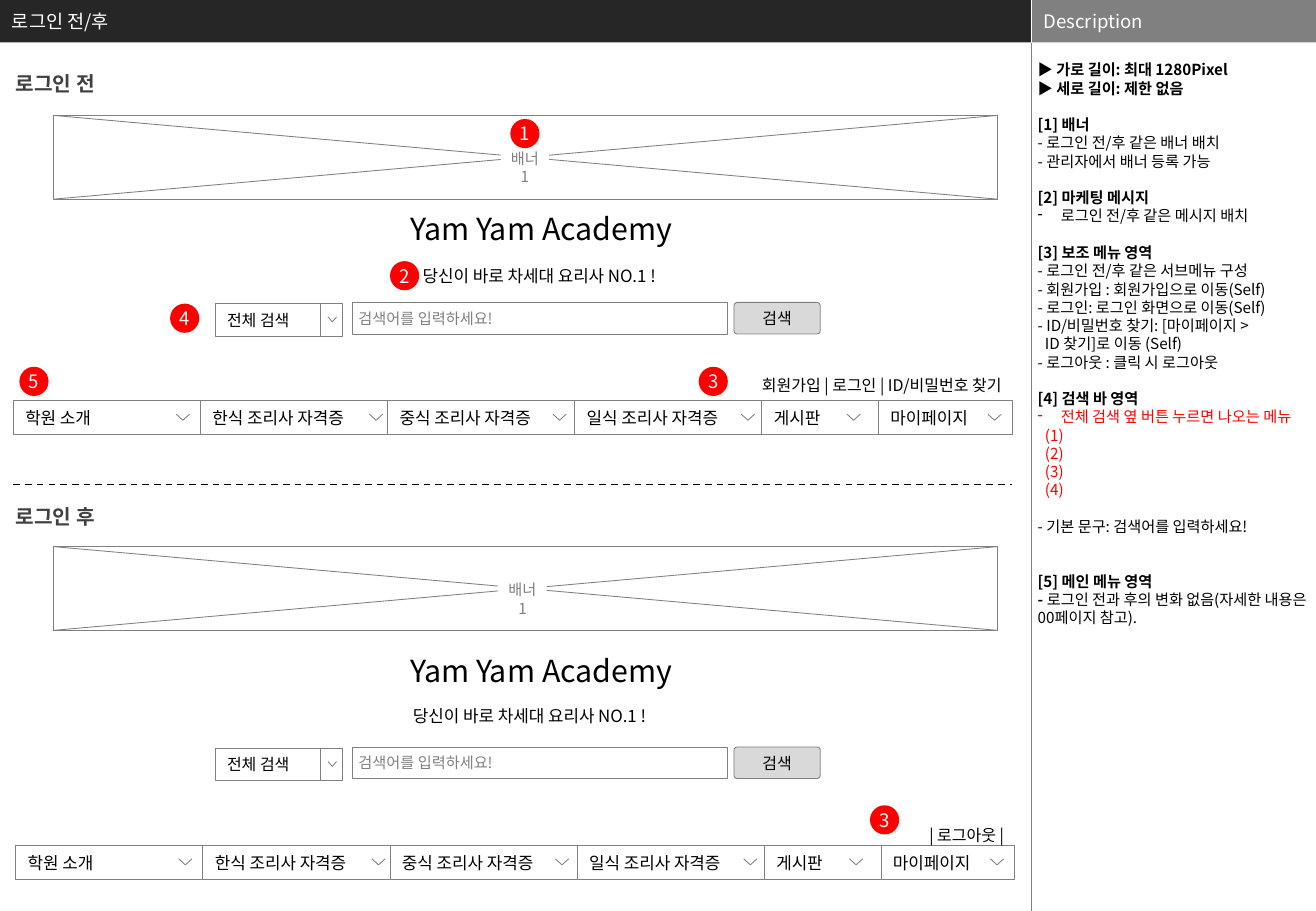
from dataclasses import dataclass

from lxml import etree
from pptx import Presentation
from pptx.dml.color import RGBColor
from pptx.enum.dml import MSO_LINE
from pptx.enum.shapes import MSO_CONNECTOR, MSO_SHAPE
from pptx.enum.text import MSO_ANCHOR, PP_ALIGN
from pptx.oxml.ns import qn
from pptx.util import Inches, Pt

RECT, ROUNDED, OVAL = MSO_SHAPE.RECTANGLE, MSO_SHAPE.ROUNDED_RECTANGLE, MSO_SHAPE.OVAL
STRAIGHT, DASH = MSO_CONNECTOR.STRAIGHT, MSO_LINE.DASH
TOP, MIDDLE = MSO_ANCHOR.TOP, MSO_ANCHOR.MIDDLE
LEFT, CENTER, RIGHT = PP_ALIGN.LEFT, PP_ALIGN.CENTER, PP_ALIGN.RIGHT


@dataclass(frozen=True)
class Theme:
    font: str = "Noto Sans CJK KR"
    black: str = "000000"
    white: str = "FFFFFF"
    dark: str = "262626"
    heading_gray: str = "404040"
    gray: str = "808080"
    button: str = "D9D9D9"
    red: str = "FF0000"
    title_size: float = 18
    heading_size: float = 12
    header_size: float = 11
    menu_size: float = 10
    control_size: float = 9.5
    note_size: float = 9
    note_gap: float = 10.8


@dataclass(frozen=True)
class Section:
    heading: str
    heading_top: float
    banner_top: float
    label_left: float
    title_top: float
    slogan_left: float
    slogan_top: float
    search_top: float
    menu_left: float
    menu_top: float
    links: str
    links_top: float


@dataclass(frozen=True)
class MenuItem:
    text: str
    width: float
    chevron: float


@dataclass(frozen=True)
class Marker:
    number: int
    left: float
    top: float


@dataclass(frozen=True)
class Note:
    text: str
    lead: str = ""
    gap: int = 0
    indent: float = 0
    bullet: bool = False
    color: str = "000000"


THEME = Theme()
CELL_OVERLAP = 0.03

SECTIONS = [
    Section("로그인 전", 0.54, 0.95, 4.12, 1.68, 3.38, 2.14, 2.49, 0.11, 3.3,
            "회원가입 | 로그인 | ID/비밀번호 찾기", 2.96),
    Section("로그인 후", 4.1, 4.5, 4.1, 5.32, 3.3, 5.76, 6.15, 0.13, 6.96,
            "| 로그아웃 |", 6.67),
]
MENU = [
    MenuItem("학원 소개", 1.57, 1.34),
    MenuItem("한식 조리사 자격증", 1.57, 1.39),
    MenuItem("중식 조리사 자격증", 1.57, 1.36),
    MenuItem("일식 조리사 자격증", 1.57, 1.37),
    MenuItem("게시판", 0.99, 0.7),
    MenuItem("마이페이지", 1.1, 0.9),
]
MARKERS = [
    Marker(1, 4.2, 0.98), Marker(2, 3.21, 2.15), Marker(3, 5.75, 3.02),
    Marker(4, 1.4, 2.5), Marker(5, 0.16, 3.02), Marker(3, 7.16, 6.63),
]
NOTES = [
    Note("", "▶ 가로 길이: 최대 1280Pixel"),
    Note("", "▶ 세로 길이: 제한 없음"),
    Note("", "[1] 배너", gap=1),
    Note("- 로그인 전/후 같은 배너 배치"),
    Note("- 관리자에서 배너 등록 가능"),
    Note("", "[2] 마케팅 메시지", gap=1),
    Note("로그인 전/후 같은 메시지 배치", indent=0.19, bullet=True),
    Note("", "[3] 보조 메뉴 영역", gap=1),
    Note("- 로그인 전/후 같은 서브메뉴 구성"),
    Note("- 회원가입 : 회원가입으로 이동(Self)"),
    Note("- 로그인: 로그인 화면으로 이동(Self)"),
    Note("- ID/비밀번호 찾기: [마이페이지 >"),
    Note("ID 찾기]로 이동 (Self)", indent=0.06),
    Note("- 로그아웃 : 클릭 시 로그아웃"),
    Note("", "[4] 검색 바 영역", gap=1),
    Note("전체 검색 옆 버튼 누르면 나오는 메뉴", indent=0.19, bullet=True, color=THEME.red),
    *[Note(f"({number})", indent=0.06, color=THEME.red) for number in range(1, 5)],
    Note("- 기본 문구: 검색어를 입력하세요!", gap=1),
    Note("", "[5] 메인 메뉴 영역", gap=2),
    Note("로그인 전과 후의 변화 없음(자세한 내용은 00페이지 참고).", "- "),
]


def add_span(para, text: str, size: float, color: str, bold: bool = False) -> None:
    span = para.add_run()
    span.text = text
    span.font.name = THEME.font
    span.font.size = Pt(size)
    span.font.bold = bold
    span.font.color.rgb = RGBColor.from_string(color)
    etree.SubElement(span._r.get_or_add_rPr(), qn("a:ea"), typeface=THEME.font)


def set_frame(box, anchor, side: float, upper: float):
    frame = box.text_frame
    frame.word_wrap = True
    frame.vertical_anchor = anchor
    frame.margin_left = frame.margin_right = Inches(side)
    frame.margin_top = frame.margin_bottom = Inches(upper)
    return frame


def write(box, text: str, size: float, color: str = THEME.black, bold: bool = False,
          align=LEFT, anchor=TOP, side: float = 0.1, upper: float = 0.05,
          spacing: float = 1.0) -> None:
    para = set_frame(box, anchor, side, upper).paragraphs[0]
    para.alignment = align
    para.line_spacing = spacing
    add_span(para, text, size, color, bold)


def add_text(page, left: float, top: float, width: float, height: float):
    return page.shapes.add_textbox(Inches(left), Inches(top), Inches(width), Inches(height))


def add_box(page, left: float, top: float, width: float, height: float,
            fill: str = THEME.white, outlined: bool = True, kind=RECT):
    box = page.shapes.add_shape(kind, Inches(left), Inches(top), Inches(width), Inches(height))
    box.shadow.inherit = False
    box.fill.solid()
    box.fill.fore_color.rgb = RGBColor.from_string(fill)
    if outlined:
        box.line.color.rgb = RGBColor.from_string(THEME.gray)
        box.line.width = Pt(0.5)
    else:
        box.line.fill.background()
    return box


def add_line(page, start: tuple[float, float], end: tuple[float, float],
             color: str = THEME.gray, width: float = 0.5, dash=None) -> None:
    line = page.shapes.add_connector(STRAIGHT, *map(Inches, start + end))
    line.line.color.rgb = RGBColor.from_string(color)
    line.line.width = Pt(width)
    if dash:
        line.line.dash_style = dash
    etree.SubElement(line.element.spPr, qn("a:effectLst"))


def add_chevron(page, left: float, top: float, width: float, height: float) -> None:
    builder = page.shapes.build_freeform(Inches(left), Inches(top))
    tip = (Inches(left + width / 2), Inches(top + height))
    builder.add_line_segments([tip, (Inches(left + width), Inches(top))], close=False)
    chevron = builder.convert_to_shape()
    chevron.shadow.inherit = False
    chevron.fill.background()
    chevron.line.color.rgb = RGBColor.from_string(THEME.gray)
    chevron.line.width = Pt(0.5)


def add_banner(page, top: float, label_left: float) -> None:
    left, width, height = 0.44, 7.77, 0.69
    right, bottom = left + width, top + height
    add_box(page, left, top, width, height)
    add_line(page, (left, bottom), (right, top))
    add_line(page, (left, top), (right, bottom))
    label = add_box(page, label_left, top + 0.28, 0.4, 0.3, outlined=False)
    write(label, "배너1", THEME.note_size, THEME.gray, align=CENTER, side=0.06, upper=0)


def add_search(page, top: float) -> None:
    write(add_box(page, 2.9, top, 3.09, 0.26), "검색어를 입력하세요!", THEME.note_size,
          THEME.gray, anchor=MIDDLE, side=0.05)
    button = add_box(page, 6.04, top, 0.71, 0.26, THEME.button, kind=ROUNDED)
    button.adjustments[0] = 0.1
    write(button, "검색", THEME.control_size, align=CENTER, anchor=MIDDLE, side=0.05)
    write(add_box(page, 1.77, top + 0.01, 0.87, 0.27), "전체 검색", THEME.control_size,
          anchor=MIDDLE)
    add_box(page, 2.64, top + 0.01, 0.18, 0.27)
    add_chevron(page, 2.7, top + 0.12, 0.07, 0.04)


def add_menu(page, left: float, top: float) -> None:
    for item in MENU:
        write(add_box(page, left, top, item.width, 0.28), item.text, THEME.menu_size,
              anchor=MIDDLE)
        add_chevron(page, left + item.chevron, top + 0.11, 0.11, 0.05)
        left += item.width - CELL_OVERLAP


def add_section(page, section: Section) -> None:
    write(add_text(page, 0, section.heading_top, 0.91, 0.3), section.heading,
          THEME.heading_size, THEME.heading_gray, True, CENTER, side=0)
    add_banner(page, section.banner_top, section.label_left)
    write(add_text(page, 2.97, section.title_top, 2.97, 0.4), "Yam Yam Academy",
          THEME.title_size, align=CENTER)
    write(add_text(page, section.slogan_left, section.slogan_top, 2.35, 0.27),
          "당신이 바로 차세대 요리사 NO.1 !", THEME.menu_size)
    add_search(page, section.search_top)
    add_menu(page, section.menu_left, section.menu_top)
    write(add_text(page, section.menu_left + 4.58, section.links_top, 3.65, 0.31),
          section.links, THEME.control_size, align=RIGHT, spacing=1.5)


def add_notes(page) -> None:
    frame = set_frame(add_text(page, 8.5, 0.35, 2.33, 7.15), TOP, 0.04, 0.15)
    for index, note in enumerate(NOTES):
        para = frame.add_paragraph() if index else frame.paragraphs[0]
        para.space_before = Pt(note.gap * THEME.note_gap)
        properties = para._p.get_or_add_pPr()
        properties.set("marL", str(Inches(note.indent)))
        if note.bullet:
            properties.set("indent", str(-Inches(note.indent)))
            etree.SubElement(properties, qn("a:buChar"), char="-")
        for text, bold in ((note.lead, True), (note.text, False)):
            if text:
                add_span(para, text, THEME.note_size, note.color, bold)


def main() -> None:
    deck = Presentation()
    deck.slide_width, deck.slide_height = Inches(10.83), Inches(7.5)
    page = deck.slides.add_slide(deck.slide_layouts[6])
    for text, left, width, fill in (("로그인 전/후", 0, 8.49, THEME.dark),
                                    ("Description", 8.49, 2.34, THEME.gray)):
        write(add_box(page, left, 0, width, 0.35, fill, False), text, THEME.header_size,
              THEME.white, anchor=MIDDLE, upper=0)
    add_line(page, (8.49, 0), (8.49, 0.35), THEME.white, 0.25)
    add_line(page, (8.49, 0.35), (8.49, 7.5), THEME.gray, 0.25)
    add_notes(page)
    for section in SECTIONS:
        add_section(page, section)
    add_line(page, (0.11, 3.99), (8.33, 3.99), THEME.black, 1, DASH)
    for marker in MARKERS:
        circle = add_box(page, marker.left, marker.top, 0.24, 0.24, THEME.red, False, OVAL)
        write(circle, str(marker.number), THEME.header_size, THEME.white, align=CENTER,
              anchor=MIDDLE, side=0, upper=0)
    deck.save("out.pptx")


if __name__ == "__main__":
    main()
